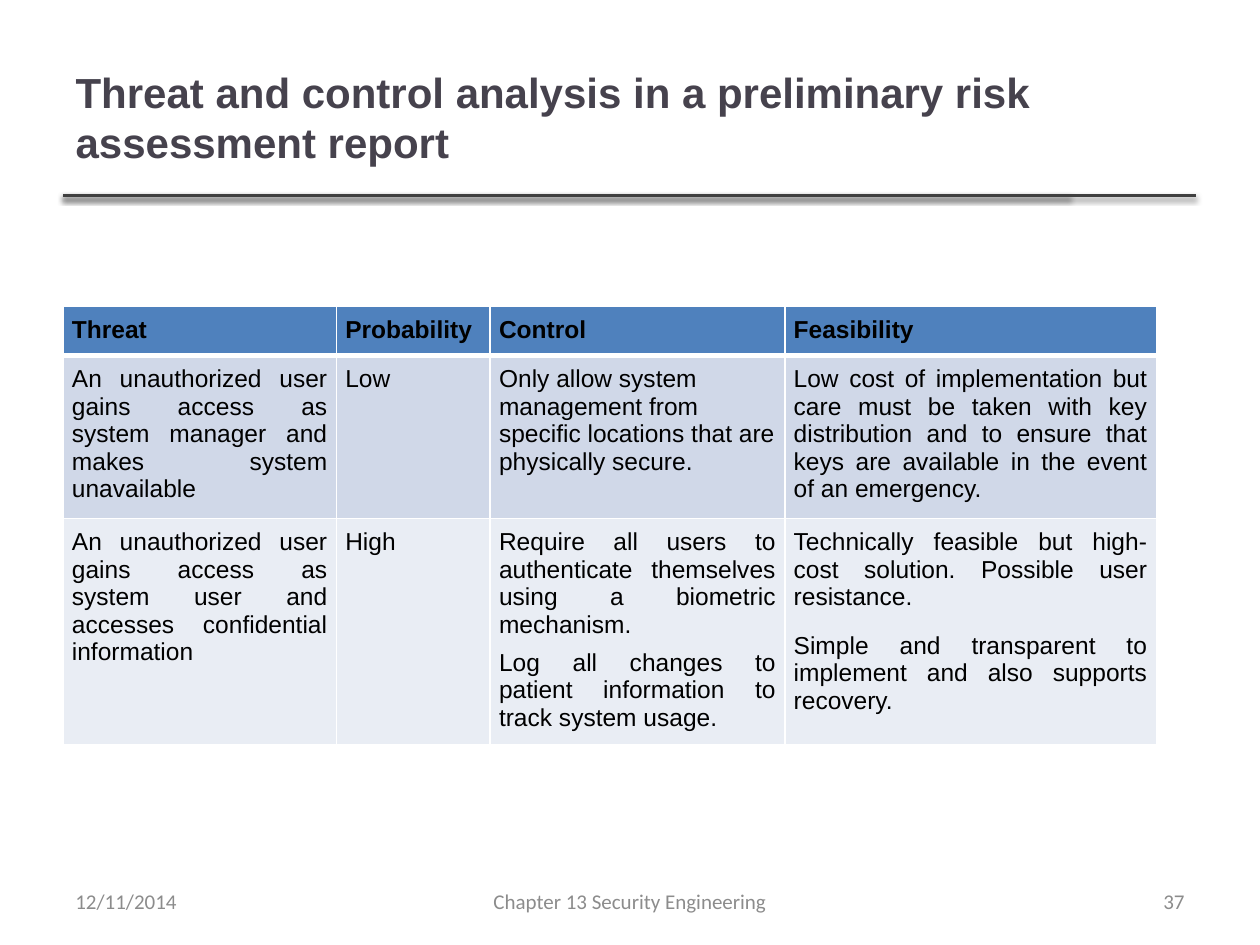
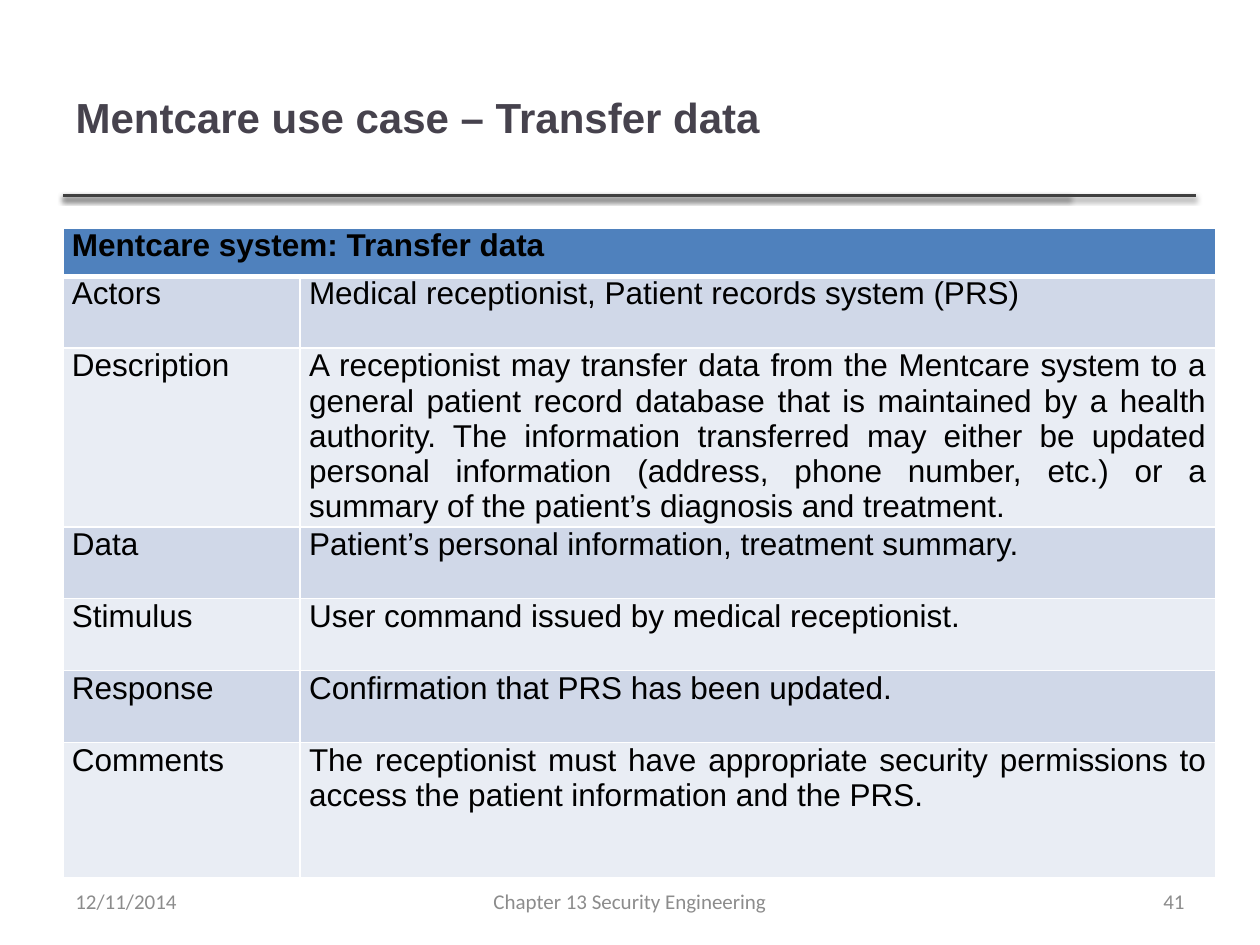
from dataclasses import dataclass

from lxml import etree
from pptx import Presentation
from pptx.dml.color import RGBColor
from pptx.enum.shapes import MSO_CONNECTOR
from pptx.enum.text import MSO_ANCHOR, MSO_AUTO_SIZE, PP_ALIGN
from pptx.oxml import parse_xml
from pptx.util import Cm, Pt

LEFT, CENTER, RIGHT, JUSTIFY = PP_ALIGN.LEFT, PP_ALIGN.CENTER, PP_ALIGN.RIGHT, PP_ALIGN.JUSTIFY
MIDDLE = MSO_ANCHOR.MIDDLE
NO_AUTOFIT = MSO_AUTO_SIZE.NONE
STRAIGHT = MSO_CONNECTOR.STRAIGHT
DRAWING = "http://schemas.openxmlformats.org/drawingml/2006/main"
TITLE_ONLY = 5


@dataclass(frozen=True)
class Theme:
    title: str = "46424D"
    rule: str = "404040"
    footer: str = "8C8C8C"
    text: str = "000000"
    border: str = "FFFFFF"
    header: str = "4F81BD"
    bands: tuple = ("D0D8E8", "E9EDF4")
    font: str = "Arial"
    footer_font: str = "Calibri"
    title_size: int = 24
    footer_size: int = 12


THEME = Theme()
MARGIN = 1.27
FOOTER_TEXT = "Chapter 13 Security Engineering"
FOOTER_DATE = "12/11/2014"

# Slide content: tables start at the left margin, all lengths in cm
PAGES = [
    dict(
        title="Threat and control analysis in a preliminary risk assessment report",
        number="37", top=6.17, size=14, insets=(0.2, 0.15),
        columns=(5.51, 3.1, 5.94, 7.49),
        heights=(1.0, 3.28, 4.57),
        spacing=((3, 3), (0, 0), (6, 0)),
        rows=[
            ["Threat", "Probability", "Control", "Feasibility"],
            ["An unauthorized user gains access as system manager and makes system unavailable",
             "Low",
             "Only allow system management from specific locations that are physically secure.",
             "Low cost of implementation but care must be taken with key distribution and to "
             "ensure that keys are available in the event of an emergency."],
            ["An unauthorized user gains access as system user and accesses confidential information",
             "High",
             "Require all users to authenticate themselves using a biometric mechanism.\n"
             "Log all changes to patient information to track system usage.",
             "Technically feasible but high-cost solution. Possible user resistance.\n"
             "Simple and transparent to implement and also supports recovery."],
        ],
    ),
    dict(
        title="Mentcare use case – Transfer data",
        number="41", top=4.6, size=18, insets=(0, 0),
        columns=(4.78, 18.45),
        heights=(0.97, 1.45, 3.6, 1.45, 1.45, 1.45, 2.72),
        spacing=((0, 0),) * 7,
        rows=[
            ["Mentcare system: Transfer data"],
            ["Actors", "Medical receptionist, Patient records system (PRS)"],
            ["Description",
             "A receptionist may transfer data from the Mentcare system to a general patient "
             "record database that is maintained by a health authority. The information "
             "transferred may either be updated personal information (address, phone number, "
             "etc.) or a summary of the patient’s diagnosis and treatment."],
            ["Data", "Patient’s personal information, treatment summary."],
            ["Stimulus", "User command issued by medical receptionist."],
            ["Response", "Confirmation that PRS has been updated."],
            ["Comments",
             "The receptionist must have appropriate security permissions to access the "
             "patient information and the PRS."],
        ],
    ),
]


def format_paragraph(para, size, color, font, bold=False, align=LEFT):
    para.alignment = align
    for span in para.runs:
        span.font.size = Pt(size)
        span.font.name = font
        span.font.bold = bold
        span.font.color.rgb = RGBColor.from_string(color)


def set_borders(cell, top, bottom):
    properties = cell._tc.get_or_add_tcPr()
    for position, (side, width) in enumerate(
            [("L", 1), ("R", 1), ("T", top), ("B", bottom)]):
        properties.insert(position, parse_xml(
            f'<a:ln{side} xmlns:a="{DRAWING}" w="{Pt(width)}"><a:solidFill>'
            f'<a:srgbClr val="{THEME.border}"/></a:solidFill></a:ln{side}>'))


deck = Presentation()
deck.slide_width, deck.slide_height = Cm(25.4), Cm(19.05)

for page in PAGES:
    slide = deck.slides.add_slide(deck.slide_layouts[TITLE_ONLY])

    # Title
    title = slide.shapes.title
    title.left, title.top, title.width, title.height = Cm(MARGIN), Cm(0.76), Cm(20.27), Cm(3.18)
    title.text_frame.text = page["title"]
    title.text_frame.auto_size = NO_AUTOFIT
    title.text_frame.vertical_anchor = MIDDLE
    format_paragraph(title.text_frame.paragraphs[0], THEME.title_size, THEME.title,
                     THEME.font, bold=True)

    # Two overlapping shadowed rules below the title
    for rule_end in (21.56, 24.1):
        rule = slide.shapes.add_connector(STRAIGHT, Cm(MARGIN), Cm(3.94), Cm(rule_end), Cm(3.94))
        rule.line.color.rgb = RGBColor.from_string(THEME.rule)
        rule.line.width = Pt(2)
        effects = etree.SubElement(rule._element.spPr, f"{{{DRAWING}}}effectLst")
        effects.append(parse_xml(
            f'<a:outerShdw xmlns:a="{DRAWING}" blurRad="{Pt(3.1)}" dist="{Pt(1.6)}" '
            'dir="5400000" rotWithShape="0"><a:srgbClr val="000000">'
            '<a:alpha val="38000"/></a:srgbClr></a:outerShdw>'))

    # Table
    table = slide.shapes.add_table(
        len(page["rows"]), len(page["columns"]), Cm(MARGIN), Cm(page["top"]),
        Cm(sum(page["columns"])), Cm(sum(page["heights"]))).table
    for column, width in zip(table.columns, page["columns"]):
        column.width = Cm(width)
    for row_index, texts in enumerate(page["rows"]):
        row = table.rows[row_index]
        row.height = Cm(page["heights"][row_index])
        is_header = row_index == 0
        fill = THEME.header if is_header else THEME.bands[(row_index - 1) % 2]
        before, after = page["spacing"][row_index]
        for cell in row.cells:
            cell.fill.solid()
            cell.fill.fore_color.rgb = RGBColor.from_string(fill)
            set_borders(cell, top=3 if row_index == 1 else 1, bottom=3 if is_header else 1)
            cell.margin_left = cell.margin_right = Cm(0.18)
            cell.margin_top, cell.margin_bottom = map(Cm, page["insets"])
        if len(texts) < len(page["columns"]):
            row.cells[0].merge(row.cells[len(page["columns"]) - 1])
        for cell, text in zip(row.cells, texts):
            cell.text_frame.text = text
            paragraphs = cell.text_frame.paragraphs
            for para in paragraphs:
                format_paragraph(para, page["size"], THEME.text, THEME.font,
                                 bold=is_header, align=JUSTIFY)
                para.space_before, para.space_after = Pt(before), Pt(after)
            if len(paragraphs) > 1:
                paragraphs[0].space_after = Pt(6)

    # The control column departs from the row rules in two places
    if page is PAGES[0]:
        table.cell(1, 2).text_frame.paragraphs[0].alignment = LEFT
        table.cell(2, 2).text_frame.paragraphs[1].space_before = Pt(0)

    # Footer, in front of the table
    for text, left, width, align in [
            (FOOTER_DATE, MARGIN, 5.93, LEFT),
            (FOOTER_TEXT, 8.68, 8.04, CENTER),
            (page["number"], 18.2, 5.93, RIGHT)]:
        box = slide.shapes.add_textbox(Cm(left), Cm(17.66), Cm(width), Cm(1.01))
        box.text_frame.word_wrap = True
        box.text_frame.vertical_anchor = MIDDLE
        box.text_frame.text = text
        format_paragraph(box.text_frame.paragraphs[0], THEME.footer_size, THEME.footer,
                         THEME.footer_font, align=align)

deck.save("out.pptx")
